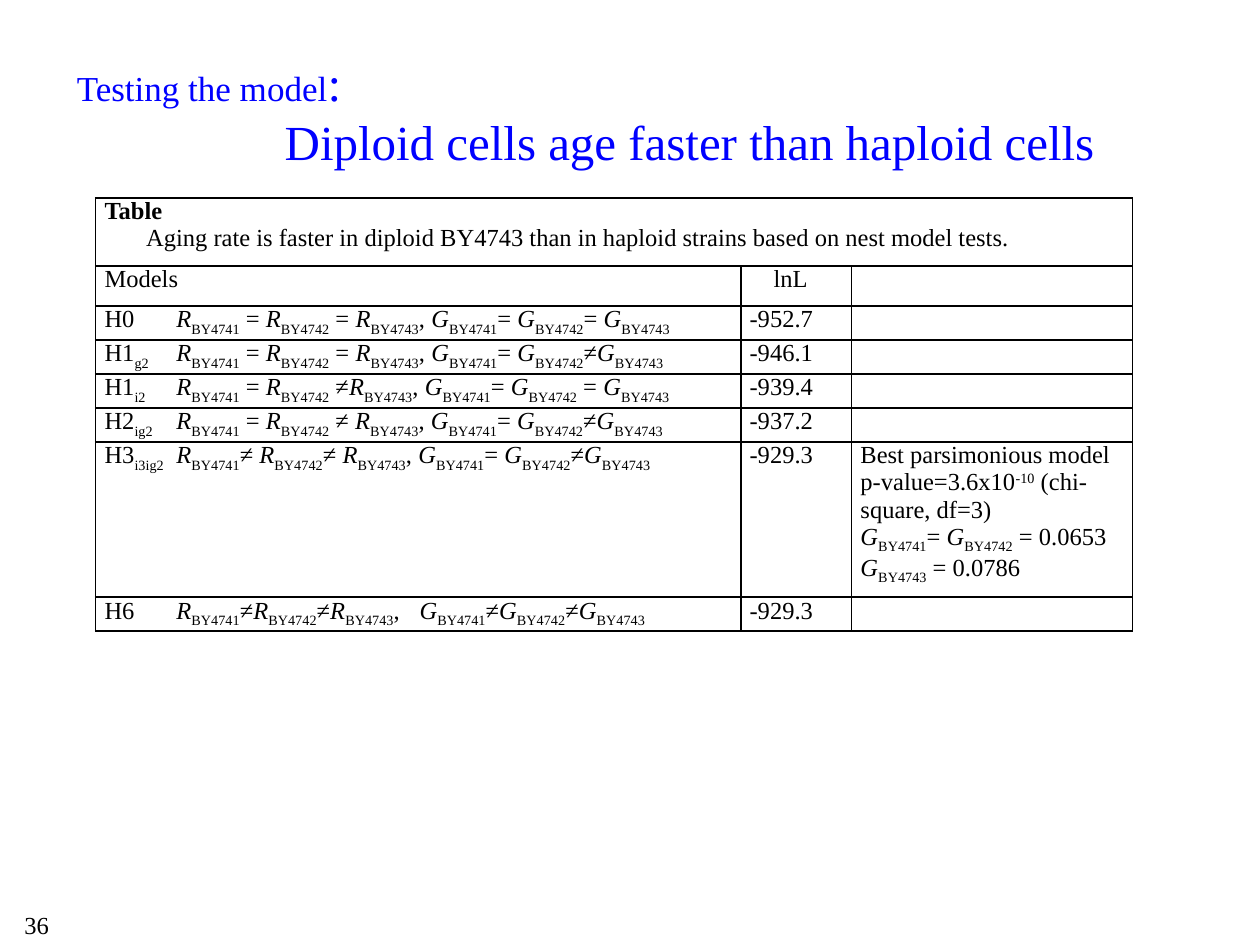
import pptx
import pptx.dml.color
import pptx.enum.text
import pptx.util
from pptx.oxml.ns import qn
from lxml import etree

BLUE = pptx.dml.color.RGBColor(0x00, 0x00, 0xFF)
BLACK = pptx.dml.color.RGBColor(0x00, 0x00, 0x00)
FONT = "Times New Roman"
BODY_SIZE = 14
STRAINS = ("BY4741", "BY4742", "BY4743")
BASELINES = {"_": "-25000", "^": "30000"}


def terms(symbol, first="= ", second="= "):
    """Compare one parameter across the three strains."""
    parts = []
    for strain, relation in zip(STRAINS, (first, second, "")):
        parts += ["*" + symbol, "_" + strain, relation]
    return parts[:-1]


def model(name, subscript, rates, separator, growths):
    return [name, "_" + subscript, "\t", *terms("R", *rates), separator,
            *terms("G", *growths)]


class SlideBuilder:
    """Holds the style and the slide; lengths are percentages of the slide."""

    def __init__(self, presentation):
        self.width = presentation.slide_width
        self.height = presentation.slide_height
        self.slide = presentation.slides.add_slide(presentation.slide_layouts[5])

    def across(self, share):
        return int(self.width * share / 100)

    def down(self, share):
        return int(self.height * share / 100)

    def frame(self, left, top, width, height):
        return (self.across(left), self.down(top),
                self.across(width), self.down(height))

    def style(self, paragraph, size=BODY_SIZE, color=BLACK, bold=False, indent=0, tabs=()):
        properties = paragraph._p.get_or_add_pPr()
        if indent:
            properties.set("marL", str(pptx.util.Inches(indent)))
            properties.set("indent", "0")
        if tabs:
            tab_list = etree.SubElement(properties, qn("a:tabLst"))
            for position in tabs:
                etree.SubElement(tab_list, qn("a:tab"), algn="l",
                                 pos=str(pptx.util.Inches(position)))
        font = paragraph.font
        font.name, font.size, font.bold = FONT, pptx.util.Pt(size), bold
        font.color.rgb = color

    def runs(self, paragraph, parts):
        """Add runs: * marks italic, _ subscript and ^ superscript."""
        for part in parts:
            mark = part[:1] if part[:1] in ("*", "_", "^") else ""
            text = part[len(mark):]
            if not text:
                continue
            run = paragraph.add_run()
            run.text = text
            if mark == "*":
                run.font.italic = True
            elif mark:
                run._r.get_or_add_rPr().set("baseline", BASELINES[mark])

    def title(self, frame, lead, headline):
        shape = self.slide.shapes.title
        shape.left, shape.top, shape.width, shape.height = frame
        text_frame = shape.text_frame
        text_frame.vertical_anchor = pptx.enum.text.MSO_ANCHOR.MIDDLE
        first, second = text_frame.paragraphs[0], text_frame.add_paragraph()
        self.runs(first, [lead, ":"])
        self.runs(second, [headline])
        for paragraph, indent in ((first, 0), (second, 1.65)):
            self.style(paragraph, 28, BLUE, indent=indent)
            paragraph.alignment = pptx.enum.text.PP_ALIGN.LEFT
        first.runs[0].font.size = pptx.util.Pt(20)

    def page_number(self, frame, number):
        text_frame = self.slide.shapes.add_textbox(*frame).text_frame
        text_frame.word_wrap = True
        paragraph = text_frame.paragraphs[0]
        self.runs(paragraph, [number])
        self.style(paragraph)
        paragraph.alignment = pptx.enum.text.PP_ALIGN.CENTER

    def border(self, cell):
        properties = cell._tc.get_or_add_tcPr()
        for position, side in enumerate(("a:lnL", "a:lnR", "a:lnT", "a:lnB")):
            line = etree.Element(qn(side), w=str(pptx.util.Pt(1)))
            fill = etree.SubElement(line, qn("a:solidFill"))
            etree.SubElement(fill, qn("a:srgbClr"), val=str(BLACK))
            properties.insert(position, line)

    def cell(self, cell, paragraphs):
        """Fill a cell with (parts, style options) pairs."""
        cell.margin_left = cell.margin_right = pptx.util.Inches(0.07)
        cell.margin_top = cell.margin_bottom = 0
        cell.fill.background()
        self.border(cell)
        for index, (parts, options) in enumerate(paragraphs or [([], {})]):
            text_frame = cell.text_frame
            paragraph = text_frame.add_paragraph() if index else text_frame.paragraphs[0]
            self.runs(paragraph, parts)
            self.style(paragraph, **options)
            if not parts:
                end = etree.SubElement(paragraph._p, qn("a:endParaRPr"))
                end.set("sz", str(BODY_SIZE * 100))

    def table(self, left, top, columns, rows, content):
        frame = self.frame(left, top, sum(columns), sum(rows))
        table = self.slide.shapes.add_table(len(rows), len(columns), *frame).table
        table.first_row = table.horz_banding = False
        for column, share in zip(table.columns, columns):
            column.width = self.across(share)
        for row, share in zip(table.rows, rows):
            row.height = self.down(share)
        for row, texts in zip(table.rows, content):
            for cell, paragraphs in zip(row.cells, texts):
                self.cell(cell, paragraphs)
        table.cell(0, 0).merge(table.cell(0, len(columns) - 1))


# Table content
EQUAL, UNEQUAL = (), ("= ", "≠")
BEST_MODEL = [
    ["Best parsimonious model"],
    ["p-value=3.6x10", "^-10", " (chi-square, df=3)"],
    ["*G", "_BY4741", "= ", "*G", "_BY4742", " = 0.0653"],
    ["*G", "_BY4743", " = 0.0786"],
]
MODELS = [
    (model("H0", "", (" = ", " = "), ", ", EQUAL), "-952.7", []),
    (model("H1", "g2", (" = ", " = "), ", ", UNEQUAL), "-946.1", []),
    (model("H1", "i2", (" = ", " ≠"), ", ", ("= ", " = ")), "-939.4", []),
    (model("H2", "ig2", (" = ", " ≠ "), ", ", UNEQUAL), "-937.2", []),
    (model("H3", "i3ig2", ("≠ ", "≠ "), ", ", UNEQUAL), "-929.3", BEST_MODEL),
    (model("H6", "", ("≠", "≠"), ",\t", ("≠", "≠")), "-929.3", []),
]
CAPTION = "Aging rate is faster in diploid BY4743 than in haploid strains based on nest model tests."


def main():
    presentation = pptx.Presentation()
    presentation.slide_width = pptx.util.Inches(10)
    presentation.slide_height = pptx.util.Inches(7.5)
    builder = SlideBuilder(presentation)

    # Title and page number
    builder.title(builder.frame(5.1, 3.47, 85, 16.67), "Testing the model",
                  "Diploid cells age faster than haploid cells")
    builder.page_number(builder.frame(0, 95.6, 5.8, 4.4), "36")

    # Model comparison
    content = [
        [[(["Table"], {"bold": True}), ([CAPTION], {"indent": 0.33})], [], []],
        [[(["Models"], {})], [(["lnL"], {"indent": 0.19})], []],
    ]
    for formula, likelihood, remarks in MODELS:
        content.append([[(formula, {"tabs": (0.57, 2.5)})], [([likelihood], {})],
                        [(remark, {}) for remark in remarks]])
    rows = [7.2, 4.27] + [3.6] * 4 + [14.27, 3.6]
    builder.table(7.6, 20.93, [51.2, 8.8, 22.3], rows, content)

    presentation.save("out.pptx")


if __name__ == "__main__":
    main()
